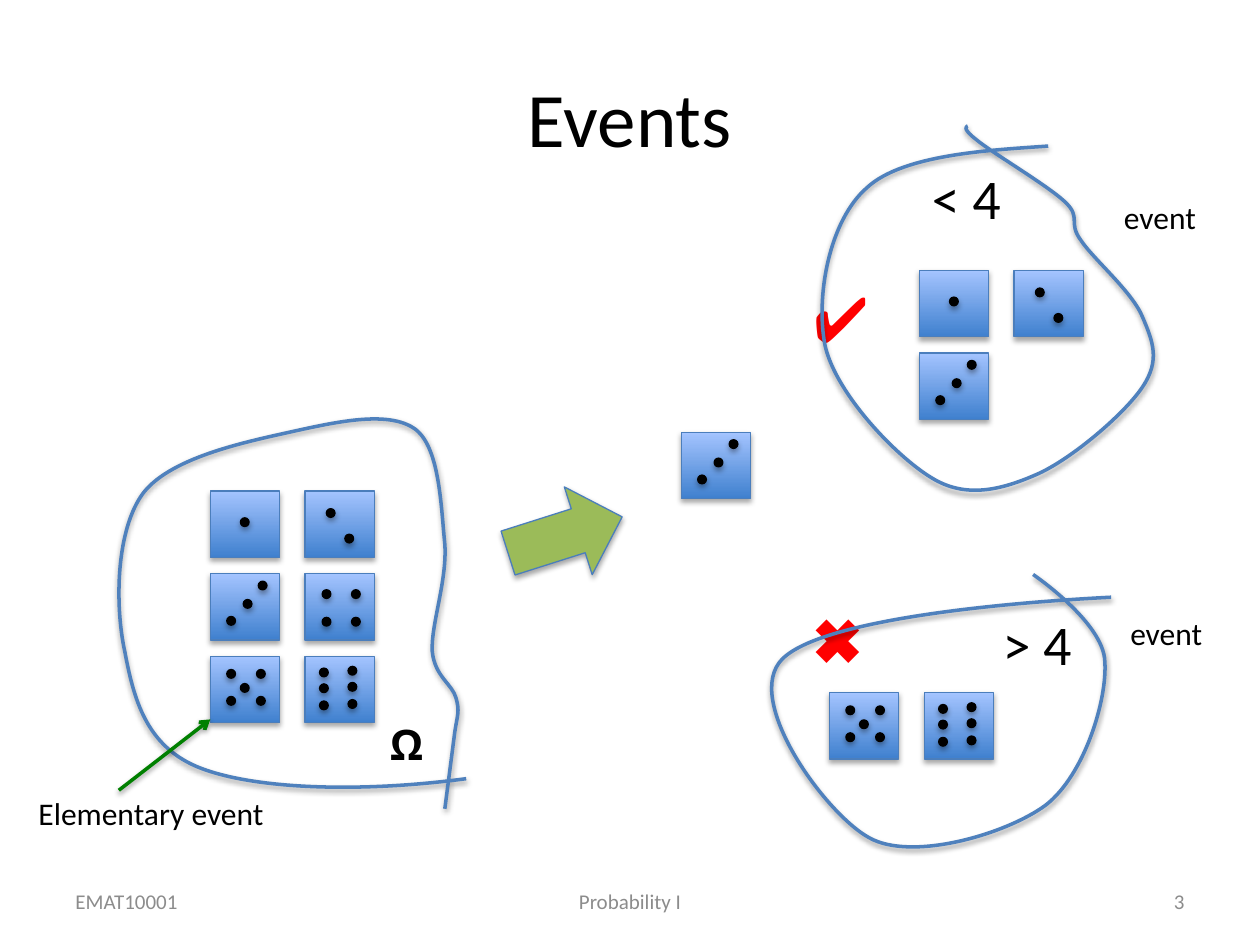
import pptx
import pptx.util
import pptx.oxml
import pptx.oxml.ns
import pptx.dml.color
import pptx.enum.shapes
import pptx.enum.text

Pt = pptx.util.Pt
SHAPE = pptx.enum.shapes.MSO_SHAPE
ALIGN = pptx.enum.text.PP_ALIGN
ANCHOR = pptx.enum.text.MSO_ANCHOR
AUTO_SIZE = pptx.enum.text.MSO_AUTO_SIZE
NAMESPACE = pptx.oxml.ns.nsdecls("a")

COLORS = {
    "text": "000000", "footer": "8C8C8C", "mark": "FF0000", "outline": "4F81BD",
    "edge": "4B7EBC", "die_dark": "3F80CE", "die_light": "A4C4FF",
    "arrow": "9BBB59", "pointer": "008000",
}
DIE_WIDTH, DIE_HEIGHT, PIP_SIZE = 39.6, 38, 5
COLUMN_STEP, ROW_STEP = 54.1, 47.2
PIPS = {
    1: [(17.2, 15.3)],
    2: [(22.8, 24.7), (12.2, 10.1)],
    3: [(27.4, 4.3), (9.4, 24.5), (18.8, 14.8)],
    4: [(26.6, 9.2), (9.8, 9.2), (26.6, 25), (9.8, 25)],
    5: [(17.2, 15.6), (26.4, 7.6), (9.4, 7.6), (26.4, 23), (9.4, 23)],
    6: [(8.3, 15.8), (8.3, 6.8), (8.3, 25.6), (24.6, 15), (24.6, 5.8), (24.6, 24.8)],
}
OMEGA_OUTLINE = [
    (266.4, 445), (208.1, 452.9), (147.6, 451.4), (115.2, 439.2),
    (82.8, 427), (76.3, 398.2), (71.3, 372.2),
    (65.5, 345.6), (66.2, 302.4), (82.1, 281.5),
    (98.6, 260.6), (143.3, 252), (169.2, 246.2),
    (195.1, 240.5), (223.2, 234.7), (237.6, 245.5),
    (251.3, 256.3), (252, 289.4), (254.2, 311),
    (255.6, 331.9), (246.2, 357.1), (247, 372.2),
    (248.4, 386.6), (258.5, 391), (260.6, 398.9),
    (262.8, 406.8), (261.4, 408.2), (259.9, 418.3),
    (258.5, 429.1), (254.2, 462.2), (254.2, 462.2),
]
BELOW_FOUR_OUTLINE = [
    (599, 83.5), (568.8, 85.7), (516.2, 87.8), (495.4, 107.3),
    (473.8, 126), (465.8, 169.9), (471.6, 198),
    (478.1, 225.4), (511.9, 260.6), (532.1, 272.9),
    (551.5, 285.1), (571.7, 280.1), (591.8, 271.4),
    (612, 262.8), (643, 236.2), (653, 221),
    (663.1, 205.9), (658.8, 195.1), (653, 181.4),
    (647.3, 167), (625, 148.3), (617.8, 137.5),
    (609.8, 126.7), (618.5, 124.6), (608.4, 115.2),
    (598.3, 105.8), (566.6, 87.1), (558, 79.9),
    (548.6, 72.7), (553, 72), (553, 72),
]
ABOVE_FOUR_OUTLINE = [
    (635, 341.3), (577.4, 344.2), (470.2, 353.5), (447.1, 376.6),
    (424.1, 399.6), (471.6, 465.1), (496.8, 478.8),
    (521.3, 492.5), (575.3, 476.6), (597.6, 460.1),
    (619.9, 442.8), (632.9, 399.6), (631.4, 378),
    (630.7, 355.7), (590.4, 328.3), (590.4, 328.3),
]


def color(name):
    return pptx.dml.color.RGBColor.from_string(COLORS[name])


def write_text(frame, text, size=18, font="Calibri", fill="text", bold=False, align=ALIGN.LEFT):
    paragraph = frame.paragraphs[0]
    paragraph.alignment = align
    run = paragraph.add_run()
    run.text = text
    run.font.size = Pt(size)
    run.font.name = font
    run.font.bold = bold
    run.font.color.rgb = color(fill)


def add_shadow(shape, opacity=35, distance=1.8):
    shape._element.spPr.append(pptx.oxml.parse_xml(
        f'<a:effectLst {NAMESPACE}>'
        f'<a:outerShdw blurRad="{Pt(3.1)}" dist="{Pt(distance)}" dir="5400000" rotWithShape="0">'
        f'<a:srgbClr val="000000"><a:alpha val="{opacity * 1000}"/></a:srgbClr>'
        '</a:outerShdw></a:effectLst>'))


def curve_command(tag, points):
    marks = "".join(f'<a:pt x="{Pt(x)}" y="{Pt(y)}"/>' for x, y in points)
    return pptx.oxml.parse_xml(f'<a:{tag} {NAMESPACE}>{marks}</a:{tag}>')


class EventSlide:
    def __init__(self, slide):
        self.slide = slide

    def text(self, text, left, top, width, height, wrap=False, anchor=ANCHOR.TOP, grow=True, **style):
        box = self.slide.shapes.add_textbox(Pt(left), Pt(top), Pt(width), Pt(height))
        frame = box.text_frame
        frame.word_wrap = wrap
        frame.vertical_anchor = anchor
        frame.auto_size = AUTO_SIZE.SHAPE_TO_FIT_TEXT if grow else AUTO_SIZE.NONE
        write_text(frame, text, **style)

    def shape(self, kind, left, top, width, height, fill=None, edge="edge", parent=None):
        shapes = (parent or self.slide).shapes
        shape = shapes.add_shape(kind, Pt(left), Pt(top), Pt(width), Pt(height))
        if fill:
            shape.fill.solid()
            shape.fill.fore_color.rgb = color(fill)
        else:
            shape.fill.gradient()
            shape.fill.gradient_angle = 90
            for stop, name in zip(shape.fill.gradient_stops, ("die_dark", "die_light")):
                stop.color.rgb = color(name)
        shape.line.color.rgb = color(edge)
        shape.line.width = Pt(0.75)
        add_shadow(shape)
        return shape

    def die(self, value, left, top):
        group = self.slide.shapes.add_group_shape()
        self.shape(SHAPE.RECTANGLE, left, top, DIE_WIDTH, DIE_HEIGHT, parent=group)
        for x, y in PIPS[value]:
            self.shape(SHAPE.OVAL, left + x, top + y, PIP_SIZE, PIP_SIZE,
                       fill="text", edge="text", parent=group)

    def dice(self, values, left, top):
        for index, value in enumerate(values):
            row, column = divmod(index, 2)
            self.die(value, left + column * COLUMN_STEP, top + row * ROW_STEP)

    def outline(self, controls, left, top, width, height):
        builder = self.slide.shapes.build_freeform(Pt(left), Pt(top))
        builder.add_line_segments([(Pt(left + width), Pt(top + height))], close=False)
        shape = builder.convert_to_shape()
        local = [(x - left, y - top) for x, y in controls]
        geometry = shape._element.xpath(".//a:path")[0]
        for command in list(geometry):
            geometry.remove(command)
        geometry.append(curve_command("moveTo", local[:1]))
        for index in range(1, len(local), 3):
            geometry.append(curve_command("cubicBezTo", local[index:index + 3]))
        shape.fill.background()
        shape.line.color.rgb = color("outline")
        shape.line.width = Pt(2)
        add_shadow(shape, 38, 1.6)

    def pointer(self, start, end):
        connector = self.slide.shapes.add_connector(
            pptx.enum.shapes.MSO_CONNECTOR.STRAIGHT, *map(Pt, start + end))
        connector.line.color.rgb = color("pointer")
        connector.line.width = Pt(2)
        connector.line._get_or_add_ln().append(pptx.oxml.parse_xml(
            f'<a:tailEnd {NAMESPACE} type="arrow"/>'))
        add_shadow(connector, 38, 1.6)


def main():
    presentation = pptx.Presentation()
    presentation.slide_width = Pt(720)
    presentation.slide_height = Pt(540)
    page = EventSlide(presentation.slides.add_slide(presentation.slide_layouts[6]))

    fixed = {"wrap": True, "anchor": ANCHOR.MIDDLE, "grow": False}
    page.text("Events", 36, 21.6, 648, 90, size=44, align=ALIGN.CENTER, **fixed)
    for text, left, width, align in (
        ("EMAT10001", 36, 168, ALIGN.LEFT),
        ("Probability I", 246, 228, ALIGN.CENTER),
        ("3", 516, 168, ALIGN.RIGHT),
    ):
        page.text(text, left, 500.5, width, 28.75, size=12, fill="footer", align=align, **fixed)

    page.dice([1, 2, 3, 4, 5, 6], 120.2, 280.6)
    page.outline(OMEGA_OUTLINE, 67.9, 239, 198.5, 223.2)
    page.text("Ω", 215.8, 406.8, 47.5, 36, wrap=True, size=24, font="Open Sans", bold=True)

    arrow = page.shape(SHAPE.RIGHT_ARROW, 288.7, 279.4, 68.4, 52.6, fill="arrow")
    arrow.rotation = 342.4
    page.die(3, 389.3, 247)

    page.text("✔", 457.7, 156.2, 46.8, 51, wrap=True, size=36, font="Arial", fill="mark")
    page.text("✖", 457.2, 339.8, 42.5, 51, size=36, font="Arial", fill="mark")

    page.text("Elementary event", 14.9, 450, 145.4, 29)
    page.pointer((67.9, 451.6), (120.2, 411.1))

    page.dice([1, 2, 3], 525.4, 154.5)
    page.outline(BELOW_FOUR_OUTLINE, 470, 72, 189.3, 208.8)
    page.text("< 4", 525.4, 90, 54, 46, size=32)
    page.text("event", 635.2, 109.4, 56.2, 29)

    page.dice([5, 6], 474, 395.8)
    page.outline(ABOVE_FOUR_OUTLINE, 440.6, 328.3, 194.4, 156.2)
    page.text("> 4", 565.8, 344.9, 54, 46, size=32)
    page.text("event", 638.8, 347.4, 56.2, 29)

    presentation.save("out.pptx")


if __name__ == "__main__":
    main()
